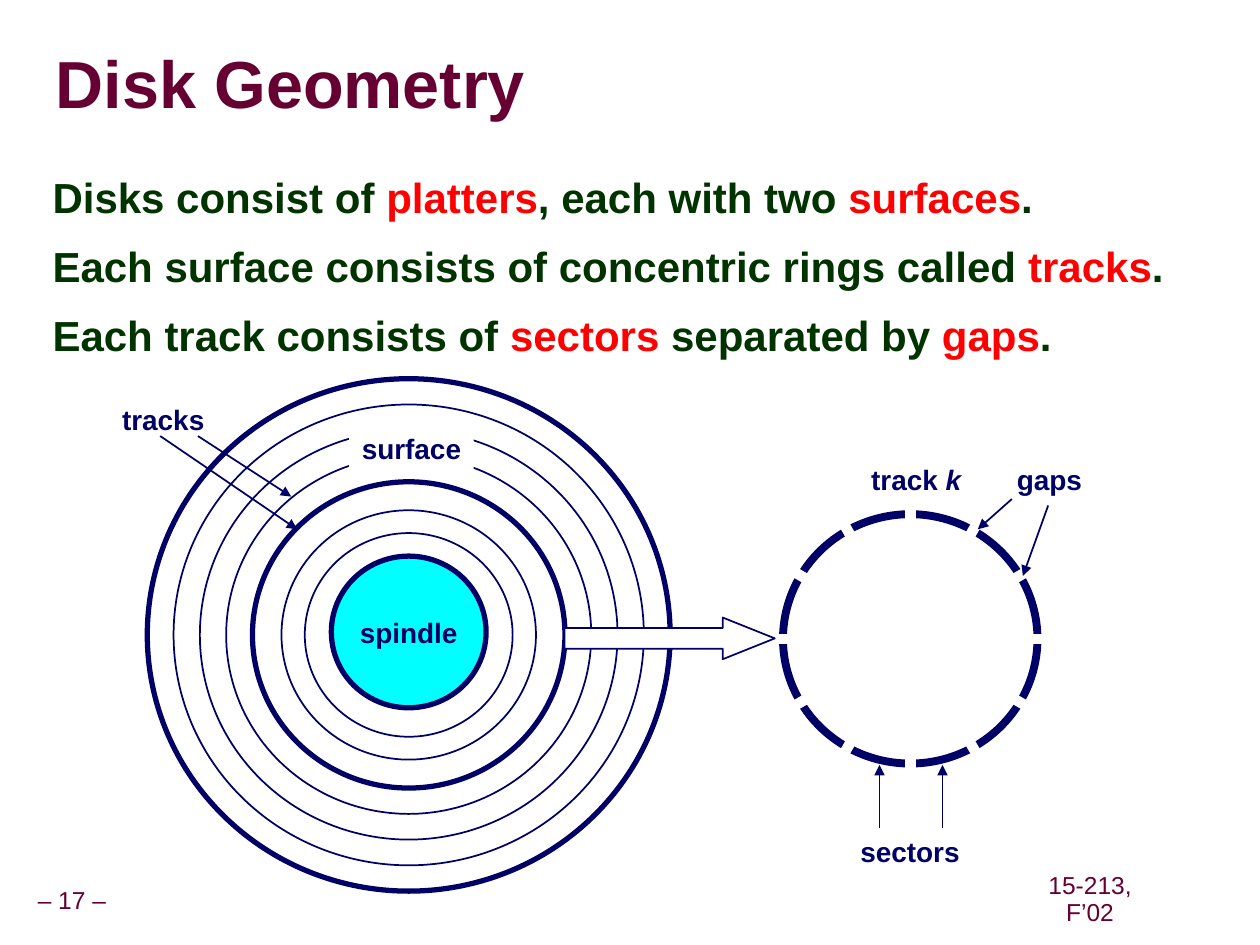
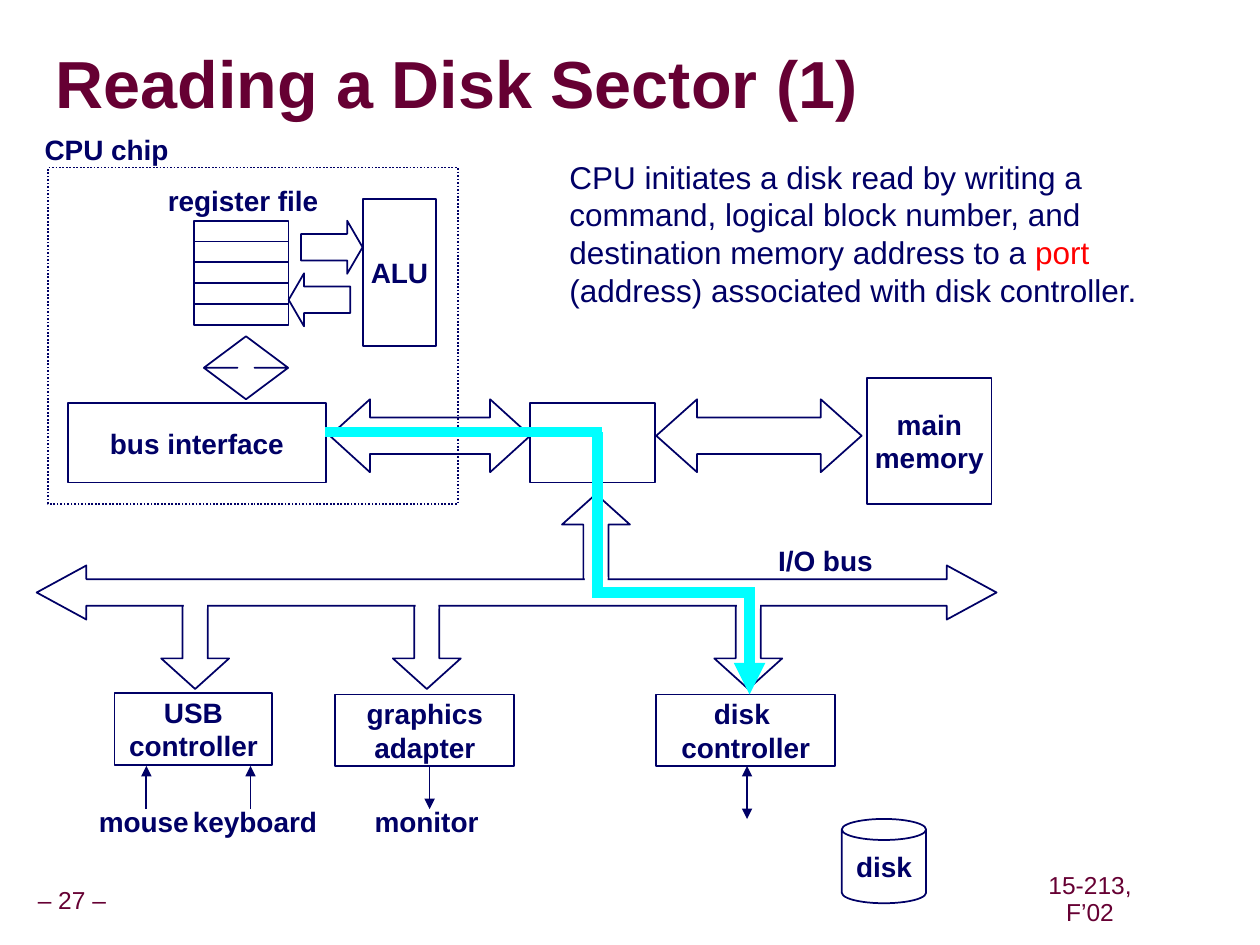
from dataclasses import dataclass
from math import cos, radians, sin
from typing import Any

from lxml import etree
from pptx import Presentation
from pptx.dml.color import RGBColor
from pptx.enum.dml import MSO_LINE
from pptx.enum.shapes import MSO_CONNECTOR, MSO_SHAPE
from pptx.enum.text import MSO_ANCHOR, PP_ALIGN
from pptx.oxml.ns import qn
from pptx.util import Cm, Pt

RECT, OVAL, CAN = MSO_SHAPE.RECTANGLE, MSO_SHAPE.OVAL, MSO_SHAPE.CAN
RIGHT, LEFT = MSO_SHAPE.RIGHT_ARROW, MSO_SHAPE.LEFT_ARROW
UP, DOWN = MSO_SHAPE.UP_ARROW, MSO_SHAPE.DOWN_ARROW
SIDEWAYS, UPDOWN = MSO_SHAPE.LEFT_RIGHT_ARROW, MSO_SHAPE.UP_DOWN_ARROW
STRAIGHT, DOTTED = MSO_CONNECTOR.STRAIGHT, MSO_LINE.ROUND_DOT
TOP, MIDDLE = MSO_ANCHOR.TOP, MSO_ANCHOR.MIDDLE
START, CENTER = PP_ALIGN.LEFT, PP_ALIGN.CENTER

FONT = "Arial"
COLORS = {
    "navy": "000066",
    "maroon": "660033",
    "green": "003300",
    "red": "FF0000",
    "cyan": "00FFFF",
    "white": "FFFFFF",
    "shadow": "969696",
}
LABEL_HEIGHT = 0.94


def rgb(name):
    return RGBColor.from_string(COLORS[name])


def write(frame, text, size=16, color="navy", bold=True, align=CENTER, anchor=MIDDLE,
          wrap=False, insets=(0.25, 0.13, 0.25, 0.13), spacing=None, before=0, hanging=0,
          accent="red", accent_italic=False):
    """Fill a text frame; lines are paragraphs and |bars| enclose accented words."""
    frame.word_wrap = wrap
    frame.vertical_anchor = anchor
    (frame.margin_left, frame.margin_top,
     frame.margin_right, frame.margin_bottom) = map(Cm, insets)
    for number, line in enumerate(text.split("\n")):
        para = frame.add_paragraph() if number else frame.paragraphs[0]
        para.alignment = align
        para.line_spacing = spacing
        para.space_before = Pt(before if number else 0)
        if hanging:
            properties = para._p.get_or_add_pPr()
            properties.set("marL", str(Cm(hanging)))
            properties.set("indent", str(-Cm(hanging)))
        for part, words in enumerate(line.split("|")):
            accented = part % 2 == 1
            span = para.add_run()
            span.text = words
            span.font.name = FONT
            span.font.size = Pt(size)
            span.font.bold = bold
            span.font.italic = accented and accent_italic
            span.font.color.rgb = rgb(accent if accented else color)


@dataclass
class Region:
    """Part of a page; positions inside it are centimetres from its corner."""
    page: Any
    left: float
    top: float

    def place(self, x, y):
        return Cm(self.left + x), Cm(self.top + y)

    def shape(self, kind, x, y, width, height, text="", fill=None, line="navy",
              weight=1, adjust=(), dash=None):
        shape = self.page.shapes.add_shape(kind, *self.place(x, y), Cm(width), Cm(height))
        shape.shadow.inherit = False
        for index, value in enumerate(adjust):
            shape.adjustments[index] = value
        if fill:
            shape.fill.solid()
            shape.fill.fore_color.rgb = rgb(fill)
        else:
            shape.fill.background()
        if line:
            shape.line.color.rgb = rgb(line)
            shape.line.width = Pt(weight)
            if dash:
                shape.line.dash_style = dash
        else:
            shape.line.fill.background()
        if text:
            write(shape.text_frame, text)

    def ring(self, x, y, width, **style):
        """Slightly flattened circle around a centre."""
        height = width * 0.98
        self.shape(OVAL, x - width / 2, y - height / 2, width, height, **style)

    def label(self, text, x, y, width, height=LABEL_HEIGHT, **style):
        box = self.page.shapes.add_textbox(*self.place(x, y), Cm(width), Cm(height))
        write(box.text_frame, text, **style)

    def line(self, x1, y1, x2, y2, color="navy", weight=1, ends=()):
        connector = self.page.shapes.add_connector(
            STRAIGHT, *self.place(x1, y1), *self.place(x2, y2))
        connector.line.color.rgb = rgb(color)
        connector.line.width = Pt(weight)
        properties = connector._element.spPr
        outline = properties.find(qn("a:ln"))
        for end in ends:
            etree.SubElement(outline, qn(f"a:{end}End"), type="triangle")
        etree.SubElement(properties, qn("a:effectLst"))

    def arrow(self, x1, y1, x2, y2, **style):
        self.line(x1, y1, x2, y2, ends=("tail",), **style)


def add_title_shadow(title):
    for span in title.text_frame.paragraphs[0].runs:
        effects = etree.Element(qn("a:effectLst"))
        shadow = etree.SubElement(effects, qn("a:outerShdw"), dist="35921",
                                  dir="2700000", algn="ctr", rotWithShape="0")
        etree.SubElement(shadow, qn("a:srgbClr"), val=COLORS["shadow"])
        span._r.get_or_add_rPr().find(qn("a:solidFill")).addnext(effects)


def add_footer(region, number):
    style = dict(size=14, color="maroon", bold=False, spacing=0.9)
    region.label(f"– {number} –", 0, 0.03, 1.68, 0.79, insets=(0.13,) * 4, **style)
    region.label("15-213, F’02", 20.4, 0, 3.02, 0.79, wrap=True,
                 insets=(0, 0.13, 1.09, 0.13), **style)


def add_page(deck, title, number):
    page = deck.slides.add_slide(deck.slide_layouts[5])
    heading = page.shapes.title
    heading.left, heading.top, heading.width, heading.height = map(
        Cm, (1.12, 0.69, 24.21, 2.16))
    write(heading.text_frame, title, size=38, color="maroon", align=START, wrap=True,
          insets=(0,) * 4, spacing=0.87)
    add_title_shadow(heading)
    add_footer(Region(page, 0.61, 17.75), number)
    return page


def draw_platter(region):
    x, y = 6.04, 5.15
    for width, weight in ((10.54, 3), (9.48, 1), (8.42, 1), (7.36, 1),
                          (6.3, 3), (5.13, 1), (4.19, 1)):
        region.ring(x, y, width, weight=weight)
    region.ring(x, y - 0.06, 3.12, text="spindle", fill="cyan", weight=3)
    region.shape(RECT, 4.84, 0.91, 2.51, LABEL_HEIGHT, "surface", fill="white", line=None)
    region.arrow(1.03, 1.14, 3.79, 3.02)
    region.arrow(1.79, 1.14, 3.67, 2.36)
    region.label("tracks", 0, 0.33, 2.18)


def draw_single_track(region):
    x, y, spoke, gap_count = 2.95, 3.69, 2.8, 12
    region.ring(x, y, 5.13, weight=4.5)
    for gap in range(gap_count):
        angle = radians(gap * 360 / gap_count)
        region.line(x, y, x + spoke * cos(angle), y + spoke * sin(angle),
                    color="white", weight=6)
    region.label("track |k|", 1.9, 0, 2.34, accent="navy", accent_italic=True)
    region.label("gaps", 4.84, 0, 1.83)
    region.arrow(5, 0.87, 4.31, 1.48)
    region.arrow(5.73, 1, 5.22, 2.42)
    region.label("sectors", 1.69, 7.5, 2.51)
    for sector in (2.33, 3.6):
        region.arrow(sector, 7.5, sector, 6.23)


def draw_cpu_chip(region):
    region.shape(RECT, 0.33, 0.84, 8.26, 6.78, dash=DOTTED)
    region.label("CPU chip", 0, 0, 3.02)
    region.label("register file", 2.48, 1.02, 3.56)
    for register in range(5):
        region.shape(RECT, 3.27, 1.91 + 0.42 * register, 1.91, 0.42)
    region.shape(RIGHT, 5.43, 1.91, 1.24, 1.07, adjust=(0.5, 0.29))
    region.shape(LEFT, 5.18, 2.97, 1.24, 1.07, adjust=(0.5, 0.29))
    region.shape(RECT, 6.68, 1.47, 1.47, 2.97, "ALU")
    region.shape(UPDOWN, 3.47, 4.24, 1.7, 1.27, adjust=(0.5, 0.2))
    region.shape(RECT, 0.73, 5.59, 5.2, 1.6, "bus interface")


def draw_memory_path(region):
    region.shape(SIDEWAYS, 0, 0.43, 4.04, 1.47, adjust=(0.5, 0.55))
    region.shape(RECT, 4.04, 0.51, 2.51, 1.6)
    region.shape(SIDEWAYS, 6.58, 0.43, 4.14, 1.47, adjust=(0.5, 0.56))
    region.shape(RECT, 10.83, 0, 2.51, 2.54, "main\nmemory")


def draw_io_bus(region):
    branches = [(UP, 10.59, 0, 1.67)]
    branches += [(DOWN, x, 2.03, 1.88) for x in (2.51, 7.18, 13.66)]
    for kind, x, y, _ in branches:
        region.shape(kind, x, y, 1.37, 1.9, adjust=(0.37, 0.45))
    region.shape(SIDEWAYS, 0, 1.44, 19.35, 1.09, fill="white", adjust=(0.49, 0.92))
    for _, x, _, joint in branches:
        region.shape(RECT, x + 0.46, joint, 0.46, 0.43, fill="white", line=None)
    region.label("I/O bus", 14.68, 0.86, 2.44)


def draw_devices(region):
    region.shape(RECT, 0.58, 0, 3.18, 1.45, "USB\ncontroller")
    region.shape(RECT, 5.03, 0.03, 3.61, 1.45, "graphics\nadapter")
    region.shape(RECT, 11.5, 0.03, 3.61, 1.45, "disk \ncontroller")
    for x in (1.22, 3.32):
        region.arrow(x, 2.34, x, 1.47)
    region.arrow(6.93, 1.47, 6.93, 2.34)
    region.line(13.33, 1.47, 13.33, 2.54, ends=("head", "tail"))
    for text, x, width in (("mouse", 0, 2.34), ("keyboard", 1.9, 3.02), ("monitor", 5.56, 2.62)):
        region.label(text, x, 2.11, width)
    region.shape(CAN, 15.24, 2.54, 1.7, 1.7, "disk", adjust=(0.25,))


def draw_command_route(region):
    style = dict(color="cyan", weight=6)
    bridge, disk, bus, corner = 5.49, 8.56, 3.23, 0.1
    region.line(0, 0, bridge + corner, 0, **style)
    region.line(bridge, 0, bridge, bus, **style)
    region.line(bridge - corner, bus, disk + corner, bus, **style)
    region.arrow(disk, bus, disk, 5.29, **style)


def build_geometry_page(deck):
    page = add_page(deck, "Disk Geometry", 17)
    Region(page, 0.81, 3.4).label(
        "Disks consist of |platters|, each with two |surfaces|.\n"
        "Each surface consists of concentric rings called |tracks|.\n"
        "Each track consists of |sectors| separated by |gaps|.",
        0, 0, 23.09, 14.5, size=24, color="green", align=START, anchor=TOP,
        wrap=True, spacing=0.95, before=12, hanging=1.07)
    draw_platter(Region(page, 2.2, 7.65))
    draw_single_track(Region(page, 15.4, 9.19))
    Region(page, 11.38, 12.45).shape(RIGHT, 0, 0, 4.24, 0.84, fill="white",
                                     adjust=(0.5, 1.25))


def build_reading_page(deck):
    page = add_page(deck, "Reading a Disk Sector (1)", 27)
    draw_memory_path(Region(page, 6.65, 7.62))
    draw_cpu_chip(Region(page, 0.64, 2.54))
    draw_io_bus(Region(page, 0.74, 9.96))
    draw_devices(Region(page, 1.73, 13.97))
    draw_command_route(Region(page, 6.55, 8.71))
    Region(page, 11.23, 3.05).label(
        "CPU initiates a disk read by writing a command, logical block number, and "
        "destination memory address to a |port |(address) associated with disk controller.",
        0, 0, 12.22, 3.3, size=18, bold=False, align=START, anchor=TOP, wrap=True)


def main():
    deck = Presentation()
    deck.slide_width, deck.slide_height = Cm(25.4), Cm(19.05)
    build_geometry_page(deck)
    build_reading_page(deck)
    deck.save("out.pptx")


if __name__ == "__main__":
    main()
